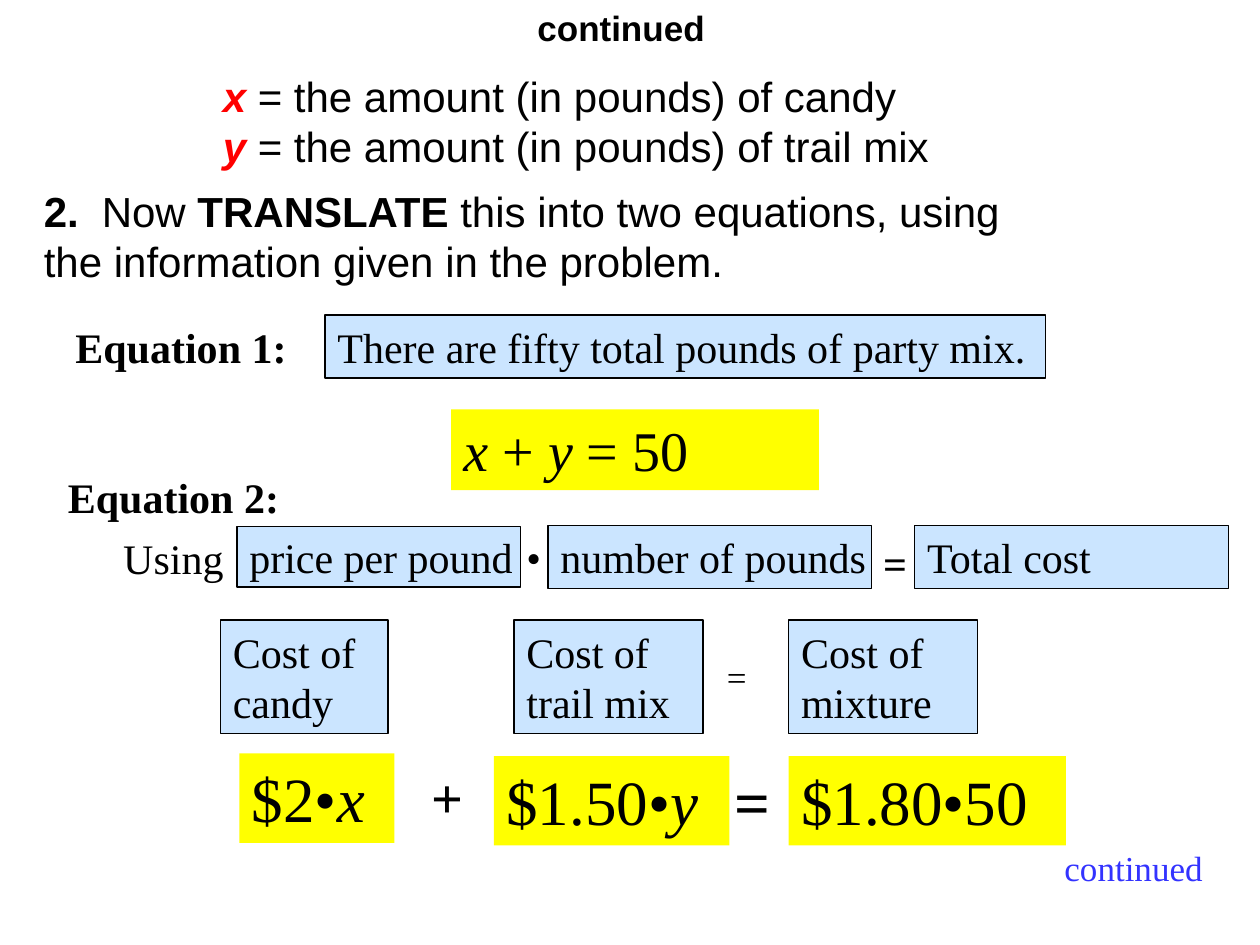
from dataclasses import dataclass

from lxml import etree
from pptx import Presentation
from pptx.dml.color import RGBColor
from pptx.enum.shapes import MSO_SHAPE
from pptx.enum.text import MSO_ANCHOR, MSO_AUTO_SIZE, PP_ALIGN
from pptx.oxml.ns import qn
from pptx.util import Inches, Pt


@dataclass(frozen=True)
class Theme:
    sans: str = "Arial"
    serif: str = "Times New Roman"
    black: str = "000000"
    red: str = "FF0000"
    link: str = "3333FF"
    blue: str = "99CCFF"
    yellow: str = "FFFF00"
    small: int = 20
    body: int = 24
    large: int = 32
    huge: int = 36


class SlideBuilder:
    def __init__(self, slide, theme):
        self.s = slide
        self.theme = theme

    def fill_text(self, shape, paragraphs, size, font=None, color=None, bold=None,
                  wrap=True, anchor=MSO_ANCHOR.TOP, align=PP_ALIGN.LEFT, tab=None):
        """Fill a shape; a paragraph is a string or a list of (text, marks).

        Marks are any of b (bold), i (italic) and r (red).
        """
        tf = shape.text_frame
        tf.word_wrap = wrap
        tf.vertical_anchor = anchor
        if anchor == MSO_ANCHOR.TOP:
            tf.auto_size = MSO_AUTO_SIZE.SHAPE_TO_FIT_TEXT
        for n, runs in enumerate(paragraphs):
            p = tf.add_paragraph() if n else tf.paragraphs[0]
            p.alignment = align
            if tab:
                tabs = etree.SubElement(p._p.get_or_add_pPr(), qn("a:tabLst"))
                etree.SubElement(tabs, qn("a:tab"), pos=str(Inches(tab)), algn="l")
            p.font.name = font or self.theme.serif
            p.font.size = Pt(size)
            p.font.bold = bold
            p.font.color.rgb = RGBColor.from_string(color or self.theme.black)
            for text, marks in [(runs, "")] if isinstance(runs, str) else runs:
                r = p.add_run()
                r.text = text
                if "b" in marks:
                    r.font.bold = True
                if "i" in marks:
                    r.font.italic = True
                if "r" in marks:
                    r.font.color.rgb = RGBColor.from_string(self.theme.red)

    def text(self, x, y, w, h, *paragraphs, size=None, **style):
        sp = self.s.shapes.add_textbox(Inches(x), Inches(y), Inches(w), Inches(h))
        self.fill_text(sp, paragraphs, size or self.theme.body, **style)

    def rect(self, x, y, w, h, fill):
        sp = self.s.shapes.add_shape(
            MSO_SHAPE.RECTANGLE, Inches(x), Inches(y), Inches(w), Inches(h))
        sp.shadow.inherit = False
        sp.fill.solid()
        sp.fill.fore_color.rgb = RGBColor.from_string(fill)
        return sp

    def term(self, x, y, w, h, words, wrap=False):
        """Half-transparent blue box with a black outline."""
        sp = self.rect(x, y, w, h, self.theme.blue)
        color = sp._element.spPr.find(qn("a:solidFill")).find(qn("a:srgbClr"))
        etree.SubElement(color, qn("a:alpha"), val="50000")
        sp.line.color.rgb = RGBColor.from_string(self.theme.black)
        sp.line.width = Pt(0.75)
        self.fill_text(sp, [words], self.theme.body, wrap=wrap,
                       anchor=MSO_ANCHOR.MIDDLE)

    def formula(self, x, y, w, h, runs, size):
        """Yellow highlight without an outline."""
        sp = self.rect(x, y, w, h, self.theme.yellow)
        sp.line.fill.background()
        self.fill_text(sp, [runs], size)


def main():
    prs = Presentation()
    prs.slide_width, prs.slide_height = Inches(10), Inches(7.5)
    t = Theme()
    b = SlideBuilder(prs.slides.add_slide(prs.slide_layouts[6]), t)

    # Heading, variables and instruction
    b.text(0.43, -0.12, 9, 0.67, "continued", size=t.small, font=t.sans, bold=True,
           anchor=MSO_ANCHOR.MIDDLE, align=PP_ALIGN.CENTER)
    b.text(0.67, 0.51, 8.83, 0.91,
           [("\t", ""), ("x", "bir"), (" = the amount (in pounds) of candy", "")],
           [("\t", ""), ("y", "bir"), (" = the amount (in pounds) of trail mix", "")],
           font=t.sans, tab=1)
    b.text(0.25, 1.42, 8.26, 0.91,
           [("2.\t", "b"), ("Now ", ""), ("TRANSLATE ", "b"),
            ("this into two equations, using the information given in the problem.", "")],
           font=t.sans, tab=0.46)

    # Equation 1
    b.text(0.5, 2.5, 1.98, 0.5, "Equation 1:", bold=True, wrap=False)
    b.term(2.58, 2.5, 5.72, 0.5, "There are fifty total pounds of party mix.")
    b.formula(3.58, 3.25, 2.92, 0.64,
              [("x", "i"), (" + ", ""), ("y", "i"), (" = 50", "")], t.large)

    # Equation 2 in words
    b.text(0.44, 3.69, 1.98, 0.5, "Equation 2:", bold=True, wrap=False)
    b.text(0.88, 4.18, 1, 0.5, "Using")
    b.term(1.88, 4.18, 2.25, 0.48, "price per pound")
    b.text(4.08, 4.17, 0.42, 0.5, "•")
    b.term(4.35, 4.17, 2.57, 0.5, "number of pounds")
    b.text(6.91, 4.22, 0.42, 0.5, "=", bold=True)
    b.term(7.26, 4.17, 2.49, 0.5, "Total cost")

    # Costs above the terms of equation 2
    for x, w, item in [(1.75, 1.33, "candy"), (4.08, 1.5, "trail mix"),
                       (6.26, 1.5, "mixture")]:
        b.term(x, 4.92, w, 0.9, f"Cost of {item}", wrap=True)
    b.text(5.67, 5.15, 0.58, 0.43, "=", size=t.small)

    # Equation 2 in symbols
    for x, y, w, runs in [(1.9, 5.98, 1.23, [("$2•", ""), ("x", "i")]),
                          (3.92, 6, 1.87, [("$1.50•", ""), ("y", "i")]),
                          (6.26, 6, 2.2, "$1.80•50")]:
        b.formula(x, y, w, 0.71, runs, t.huge)
    b.text(3.33, 6, 0.33, 0.64, "+", size=t.large, bold=True)
    b.text(5.73, 6, 0.58, 0.71, "=", size=t.huge, bold=True)

    b.text(8.35, 6.67, 1.3, 0.43, "continued", size=t.small, color=t.link, wrap=False)
    prs.save("out.pptx")


if __name__ == "__main__":
    main()
